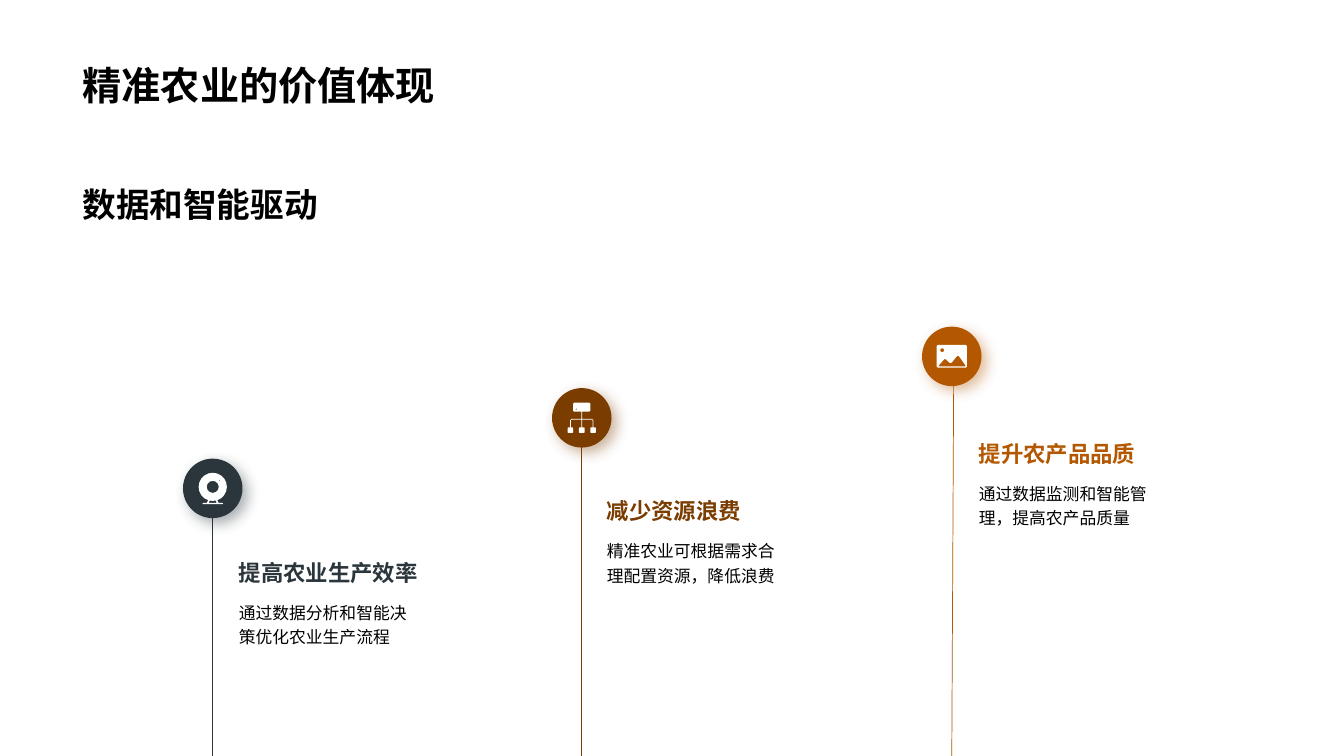
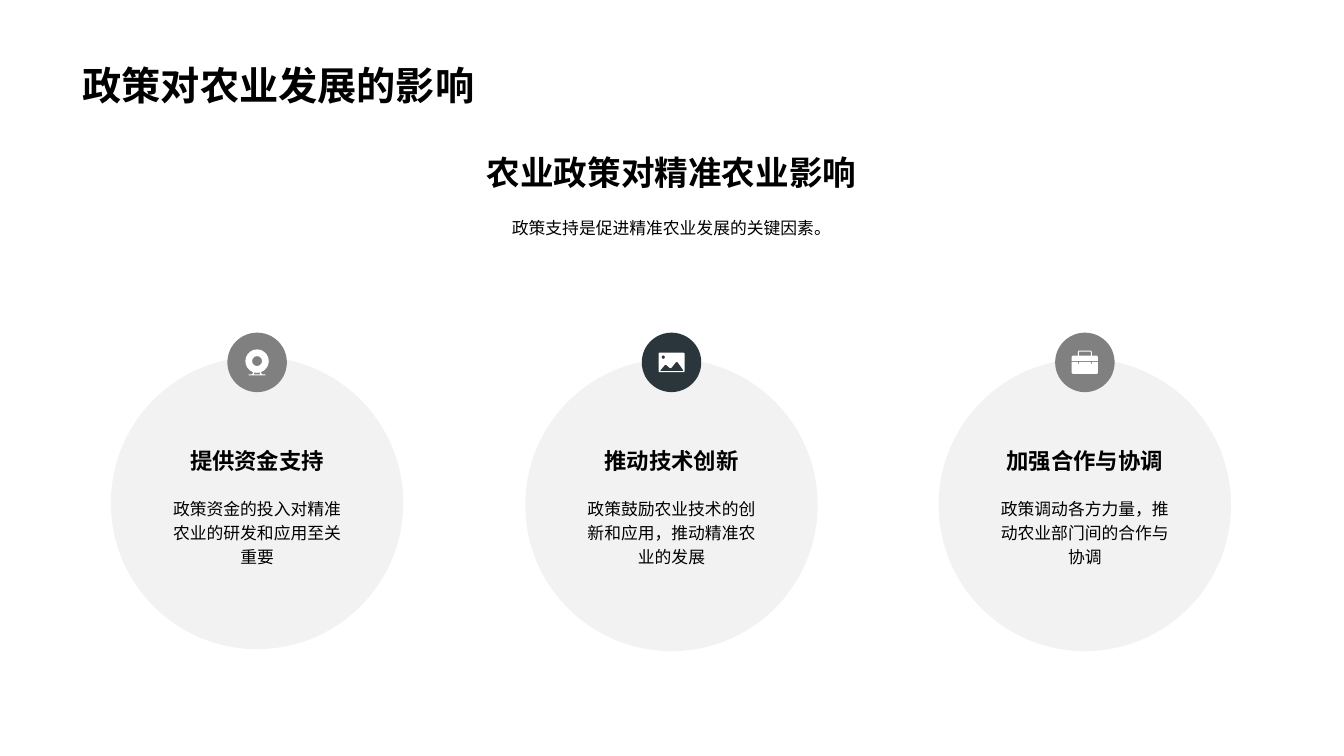
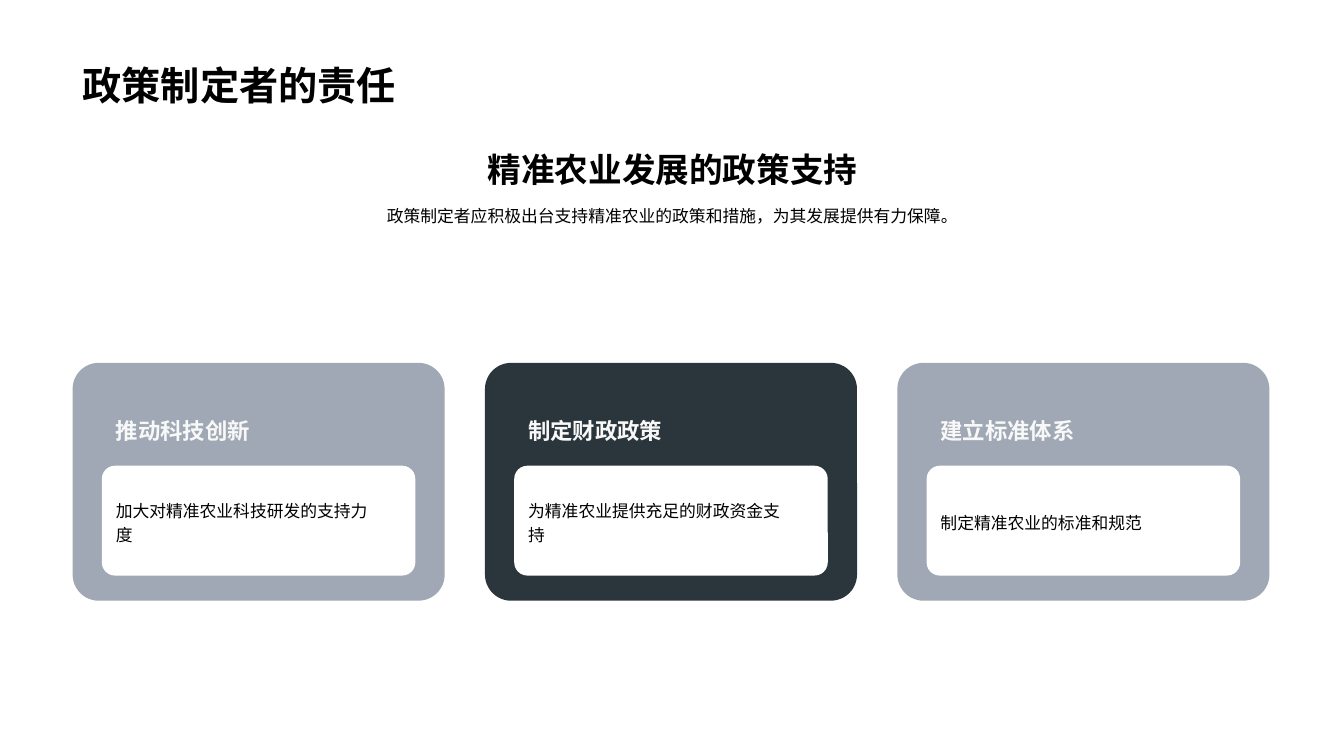
from math import cos, pi, sin

from lxml.etree import SubElement
from pptx import Presentation
from pptx.dml.color import RGBColor
from pptx.enum.lang import MSO_LANGUAGE_ID
from pptx.enum.shapes import MSO_CONNECTOR, MSO_SHAPE
from pptx.enum.text import MSO_ANCHOR, MSO_AUTO_SIZE, PP_ALIGN
from pptx.oxml.ns import qn
from pptx.util import Inches, Pt

BLACK, WHITE, OFF_WHITE = "000000", "FFFFFF", "F8F8F8"
SLATE, BROWN, ORANGE = "2A363C", "7B3C00", "B35700"
GREY, PALE_GREY, BLUE_GREY = "808080", "BFBFBF", "778495"

TITLE_STYLE = {"size": Pt(28), "bold": True}
SUBTITLE_STYLE = {"size": Pt(24), "bold": True}
HEADING_STYLE = {"size": Pt(16), "bold": True}
BODY_STYLE = {"size": Pt(12), "bold": False}
COMMON_STYLE = {"name": "Arial", "language_id": MSO_LANGUAGE_ID.SIMPLIFIED_CHINESE}

MARGIN, CONTENT_WIDTH = 0.72, 11.88
BADGE = 0.59


def circle(x, y, radius, points=8):
    angles = [2 * pi * index / points for index in range(points)]
    return [(x + radius * cos(angle), y + radius * sin(angle)) for angle in angles]


def block(left, top, right, bottom, cut=1):
    """Return the outline of a rectangle with its corners cut off."""
    return [(left + cut, top), (right - cut, top), (right, top + cut),
            (right, bottom - cut), (right - cut, bottom), (left + cut, bottom),
            (left, bottom - cut), (left, top + cut)]


# Each icon: width, height and outlines, in hundredths of an inch.
WEBCAM = (28, 31, [
    circle(14, 14, 14, 20),
    circle(14, 14, 6, 12),
    circle(20.5, 7.5, 0.7, 4),
    [(9.5, 27.3), (8, 30), (4, 30), (4, 31), (24, 31), (24, 30), (20, 30),
     (18.5, 27.3), (17, 27.7), (18, 30), (10, 30), (11, 27.7)],
])
NETWORK = (28, 30, [
    block(5.5, 0, 22.5, 9),
    circle(8.5, 6.5, 0.8, 4),
    [(13.6, 9), (14.4, 9), (14.4, 16), (24, 16), (25.6, 17.5), (25.6, 24.5),
     (24.8, 24.5), (24.8, 17.5), (24, 16.8), (14.4, 16.8), (14.4, 24.5),
     (13.6, 24.5), (13.6, 16.8), (4, 16.8), (3.2, 17.5), (3.2, 24.5),
     (2.4, 24.5), (2.4, 17.5), (4, 16), (13.6, 16)],
    *[block(left, 24.5, left + 5.5, 30, 0.6) for left in (0, 11.25, 22.5)],
])
LANDSCAPE = (30, 22.5, [
    block(0, 0, 30, 22.5),
    circle(5.5, 5.2, 2),
    [(2, 20.5), (7.5, 14.2), (9, 14.2), (13.2, 18), (15, 17.5), (20, 11.2),
     (21, 10.7), (22.2, 11.2), (28.8, 20.5), (28.2, 21.3), (2.5, 21.3)],
])
BRIEFCASE = (26, 23, [
    [(6, 5), (6, 1), (7, 0), (19, 0), (20, 1), (20, 5),
     (19, 5), (19, 1), (7, 1), (7, 5)],
    [(0, 10), (0, 6), (1, 5), (25, 5), (26, 6), (26, 10)],
    [(0, 11), (6, 11), (6, 13), (7, 13), (7, 11), (19, 11), (19, 13),
     (20, 13), (20, 11), (26, 11), (26, 22), (25, 23), (1, 23), (0, 22)],
])


def rgb(color):
    return RGBColor.from_string(color)


def write(frame, text, style, color=BLACK, align=PP_ALIGN.LEFT,
          anchor=MSO_ANCHOR.TOP, wrap=True, spacing=1.0, grow=False):
    """Put one formatted paragraph into a text frame."""
    frame.word_wrap = wrap
    frame.auto_size = (MSO_AUTO_SIZE.SHAPE_TO_FIT_TEXT if grow
                       else MSO_AUTO_SIZE.NONE)
    frame.vertical_anchor = anchor
    para = frame.paragraphs[0]
    para.alignment = align
    para.line_spacing = spacing
    span = para.add_run()
    span.text = text
    for name, value in {**COMMON_STYLE, **style}.items():
        setattr(span.font, name, value)
    span.font.color.rgb = rgb(color)


def add_text(page, place, text, style, **options):
    box = page.shapes.add_textbox(*map(Inches, place))
    write(box.text_frame, text, style, **options)


def add_heading(page, place, text, **options):
    add_text(page, place, text, HEADING_STYLE, anchor=MSO_ANCHOR.BOTTOM,
             wrap=False, **options)


def add_body(page, place, text, **options):
    add_text(page, place, text, BODY_STYLE, spacing=1.2, **options)


def add_subtitle(page, place, text, **options):
    add_text(page, place, text, SUBTITLE_STYLE, anchor=MSO_ANCHOR.BOTTOM, **options)


def set_alpha(color_element, percent):
    SubElement(color_element, qn("a:alpha"), val=str(percent * 1000))


def paint(shape, color, opacity=100):
    """Give a shape a plain fill with no outline and no shadow."""
    shape.shadow.inherit = False
    shape.fill.solid()
    shape.fill.fore_color.rgb = rgb(color)
    shape.line.fill.background()
    if opacity < 100:
        set_alpha(shape._element.spPr.find(".//" + qn("a:srgbClr")), opacity)


def add_panel(page, kind, place, color, opacity=100, corner=None):
    panel = page.shapes.add_shape(kind, *map(Inches, place))
    if corner is not None:
        panel.adjustments[0] = corner
    paint(panel, color, opacity)
    return panel


def add_glow(shape, color):
    """Add a soft shadow in the given colour, down and to the right."""
    effects = shape._element.spPr.find(qn("a:effectLst"))
    shadow = SubElement(effects, qn("a:outerShdw"), blurRad=str(Pt(10)),
                        dist=str(Pt(5)), dir=str(45 * 60000), algn="tl",
                        rotWithShape="0")
    set_alpha(SubElement(shadow, qn("a:srgbClr"), val=color), 40)


def add_icon(page, icon, center_x, center_y, scale):
    width, height, outlines = icon

    def position(point):
        return (Inches(center_x + (point[0] - width / 2) * scale / 100),
                Inches(center_y + (point[1] - height / 2) * scale / 100))

    builder = None
    for outline in outlines:
        first, *rest = map(position, outline)
        if builder is None:
            builder = page.shapes.build_freeform(*first, scale=1.0)
        else:
            builder.move_to(*first)
        builder.add_line_segments(rest, close=True)
    paint(builder.convert_to_shape(), WHITE)


def add_badge(page, icon, center_x, top, color, scale=1.0):
    """Add a coloured disc with a white icon in its middle."""
    place = (center_x - BADGE / 2, top, BADGE, BADGE)
    add_panel(page, MSO_SHAPE.OVAL, place, color)
    add_icon(page, icon, center_x, top + BADGE / 2, scale)


def add_glowing_badge(page, icon, center_x, top, color):
    place = (center_x - BADGE / 2, top, BADGE, BADGE)
    disc = add_panel(page, MSO_SHAPE.ROUNDED_RECTANGLE, place, color, corner=0.5)
    add_glow(disc, color)
    add_icon(page, icon, center_x, top + BADGE / 2, 1)


def add_stem(page, start, end, color):
    stem = page.shapes.add_connector(MSO_CONNECTOR.STRAIGHT,
                                     *map(Inches, (*start, *end)))
    stem.line.color.rgb = rgb(color)
    stem.line.width = Pt(0.5)
    SubElement(stem._element.spPr, qn("a:effectLst"))


def add_page(deck, title):
    page = deck.slides.add_slide(deck.slide_layouts.get_by_name("Title Only"))
    write(page.shapes.title.text_frame, title, TITLE_STYLE, anchor=MSO_ANCHOR.BOTTOM)
    return page


def place_layout_title(deck):
    title = deck.slide_layouts.get_by_name("Title Only").placeholders[0]
    place = {"left": MARGIN, "top": 0, "width": CONTENT_WIDTH, "height": 1.13}
    for name, value in place.items():
        setattr(title, name, Inches(value))


def build_value_page(deck):
    page = add_page(deck, "精准农业的价值体现")
    add_subtitle(page, (MARGIN, 1.77, 5.23, 0.5), "数据和智能驱动", grow=True)
    steps = [
        (WEBCAM, SLATE, 2.11, 2.11, 4.55, 2.27, 5.49,
         "提高农业生产效率", "通过数据分析和智能决策优化农业生产流程"),
        (NETWORK, BROWN, 5.77, 5.77, 3.85, 5.92, 4.88,
         "减少资源浪费", "精准农业可根据需求合理配置资源，降低浪费"),
        (LANDSCAPE, ORANGE, 9.44, 9.46, 3.24, 9.61, 4.31,
         "提升农产品品质", "通过数据监测和智能管理，提高农产品质量"),
    ]
    for icon, color, center, stem_x, top, left, text_top, heading, body in steps:
        add_stem(page, (stem_x, top + 0.3), (center, 7.5), color)
        add_glowing_badge(page, icon, center, top, color)
        add_body(page, (left, text_top + 0.4, 1.93, 0.56), body, grow=True)
        add_heading(page, (left, text_top, 1.93, 0.37), heading, color=color)


def build_policy_page(deck):
    page = add_page(deck, "政策对农业发展的影响")
    centered = {"align": PP_ALIGN.CENTER}
    effects = [
        (LANDSCAPE, SLATE, 6.66, 3.56, 0.86, "推动技术创新",
         "政策鼓励农业技术的创新和应用，推动精准农业的发展"),
        (WEBCAM, GREY, 2.55, 3.54, 0.83, "提供资金支持",
         "政策资金的投入对精准农业的研发和应用至关重要"),
        (BRIEFCASE, GREY, 10.76, 3.56, 1, "加强合作与协调",
         "政策调动各方力量，推动农业部门间的合作与协调"),
    ]
    diameter, text_width = 2.9, 1.97
    for icon, color, center, top, scale, heading, body in effects:
        left = center - text_width / 2
        add_panel(page, MSO_SHAPE.OVAL,
                  (center - diameter / 2, top, diameter, diameter), PALE_GREY, 20)
        add_heading(page, (left, 4.38, text_width, 0.37), heading, **centered)
        add_body(page, (left, 4.86, text_width, 0.44), body, **centered)
        add_badge(page, icon, center, 3.3, color, scale)
    add_subtitle(page, (MARGIN, 1.24, CONTENT_WIDTH, 0.72),
                 "农业政策对精准农业影响", **centered)
    add_body(page, (MARGIN, 2.07, CONTENT_WIDTH, 0.32),
             "政策支持是促进精准农业发展的关键因素。", grow=True, **centered)


def build_duty_page(deck):
    page = add_page(deck, "政策制定者的责任")
    duties = [
        (BLUE_GREY, 70, 0.56, "推动科技创新", "加大对精准农业科技研发的支持力度"),
        (SLATE, 100, 0.56, "制定财政政策", "为精准农业提供充足的财政资金支持"),
        (BLUE_GREY, 70, 0.32, "建立标准体系", "制定精准农业的标准和规范"),
    ]
    for index, (color, opacity, height, heading, body) in enumerate(duties):
        left = MARGIN + 4.09 * index
        add_panel(page, MSO_SHAPE.ROUNDED_RECTANGLE, (left, 3.6, 3.69, 2.36),
                  color, opacity, corner=0.11)
        add_panel(page, MSO_SHAPE.ROUNDED_RECTANGLE, (left + 0.29, 4.62, 3.11, 1.09),
                  WHITE, corner=0.12)
        add_heading(page, (left + 0.33, 3.9, 2.25, 0.55), heading, color=OFF_WHITE)
        add_body(page, (left + 0.33, 5.17 - height / 2, 2.86, height), body,
                 anchor=MSO_ANCHOR.MIDDLE, grow=True)
    centered = {"align": PP_ALIGN.CENTER, "grow": True}
    add_subtitle(page, (0.73, 1.43, CONTENT_WIDTH, 0.5),
                 "精准农业发展的政策支持", **centered)
    add_body(page, (0.73, 1.95, CONTENT_WIDTH, 0.32),
             "政策制定者应积极出台支持精准农业的政策和措施，为其发展提供有力保障。",
             **centered)


def main():
    deck = Presentation()
    deck.slide_width, deck.slide_height = Inches(13.33), Inches(7.5)
    place_layout_title(deck)
    build_value_page(deck)
    build_policy_page(deck)
    build_duty_page(deck)
    deck.save("out.pptx")


if __name__ == "__main__":
    main()
